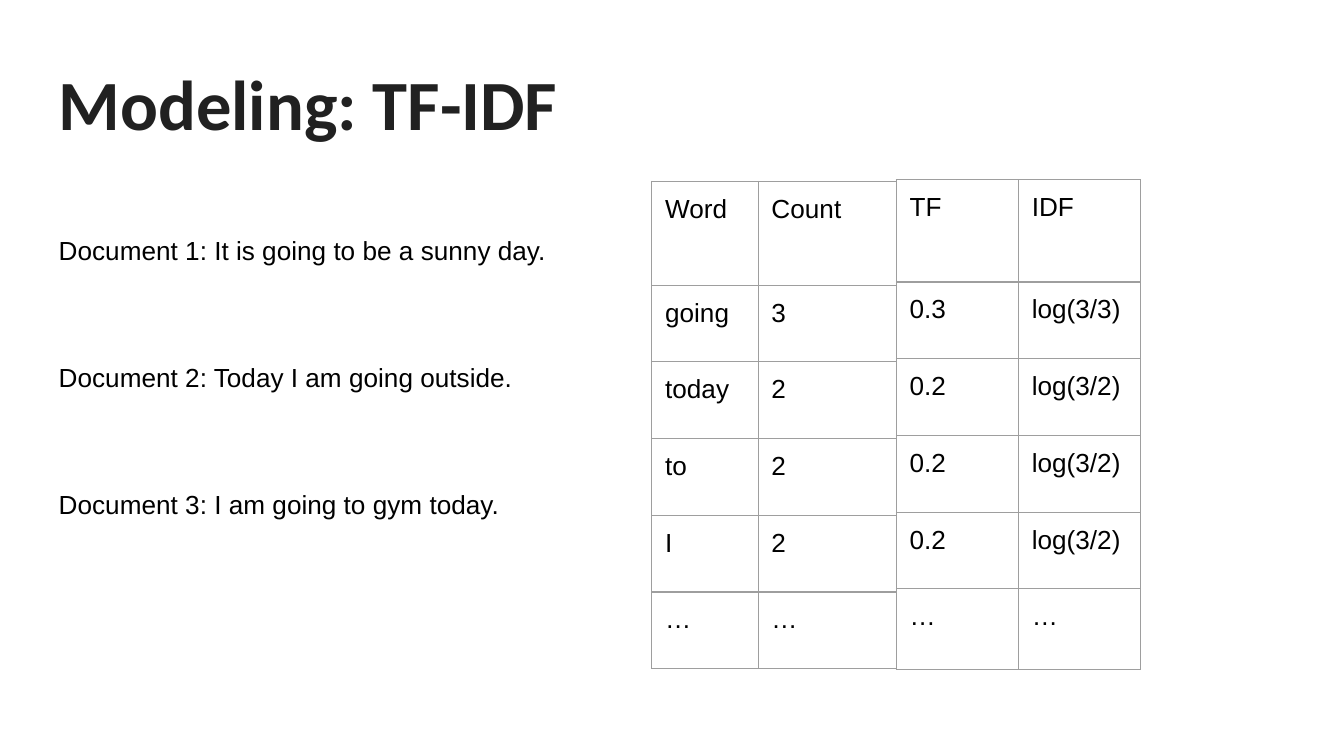
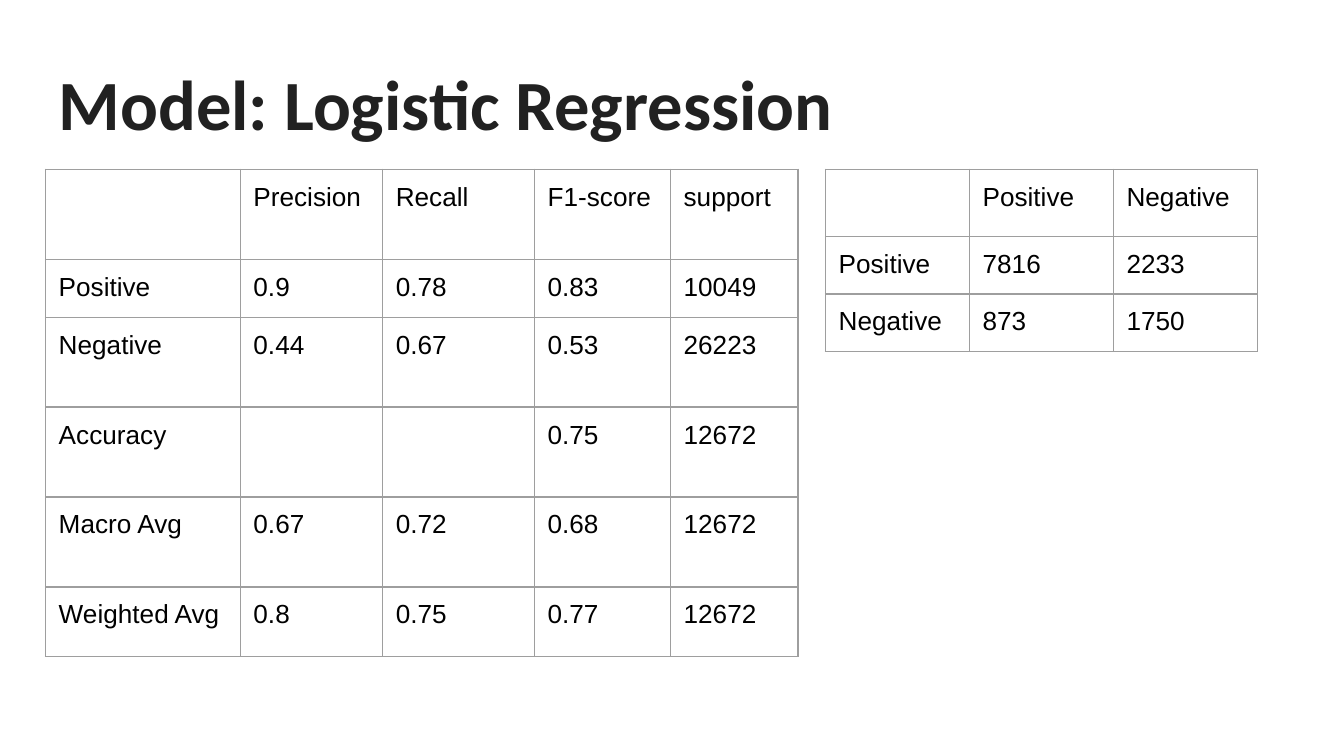
from lxml.etree import SubElement
from pptx import Presentation
from pptx.dml.color import RGBColor
from pptx.enum.text import MSO_ANCHOR
from pptx.oxml.ns import qn
from pptx.util import Cm, Pt

TITLE_COLOR = "212121"
TEXT_COLOR = "000000"
GRID_COLOR = "9E9E9E"
LEFT = 0.86
INSET = Cm(0.25)


def add_text(page, lines, top, width, height, font, size, color, bold=False, gap=0):
    box = page.shapes.add_textbox(Cm(LEFT), Cm(top), Cm(width), Cm(height))
    frame = box.text_frame
    frame.word_wrap = True
    frame.margin_left = frame.margin_right = INSET
    frame.margin_top = frame.margin_bottom = INSET
    frame.text = "\n".join(lines)
    for index, para in enumerate(frame.paragraphs):
        para.font.name = font
        para.font.size = Pt(size)
        para.font.bold = bold
        para.font.color.rgb = RGBColor.from_string(color)
        para.space_before = Pt(gap if index else 0)
    return frame


def add_grid(page, left, top, widths, heights, rows):
    table = page.shapes.add_table(
        len(rows), len(widths), Cm(left), Cm(top), Cm(sum(widths)), Cm(sum(heights))
    ).table
    table.first_row = table.horz_banding = False
    for column, width in zip(table.columns, widths):
        column.width = Cm(width)
    for row, height, values in zip(table.rows, heights, rows):
        row.height = Cm(height)
        for cell, value in zip(row.cells, values):
            cell.margin_left = cell.margin_right = INSET
            cell.margin_top = cell.margin_bottom = INSET
            # Cell borders come before the fill in the cell properties
            properties = cell._tc.get_or_add_tcPr()
            for side in ("a:lnL", "a:lnR", "a:lnT", "a:lnB"):
                line = SubElement(properties, qn(side), w=str(Pt(0.75)))
                fill = SubElement(line, qn("a:solidFill"))
                SubElement(fill, qn("a:srgbClr"), val=GRID_COLOR)
            cell.fill.background()
            if value:
                cell.text = value
                para = cell.text_frame.paragraphs[0]
                para.font.name = "Arial"
                para.font.size = Pt(14)
                para.font.color.rgb = RGBColor.from_string(TEXT_COLOR)


deck = Presentation()
deck.slide_width = Cm(25.4)
deck.slide_height = Cm(14.29)

# Both pages share the title style
pages = []
for title in ("Modeling: TF-IDF", "Model: Logistic Regression"):
    page = deck.slides.add_slide(deck.slide_layouts[6])
    frame = add_text(page, [title], 0.81, 23.67, 2.24, "Calibri", 37.8, TITLE_COLOR, bold=True)
    frame.vertical_anchor = MSO_ANCHOR.MIDDLE
    pages.append(page)
tfidf_page, regression_page = pages

# Example documents
documents = [
    "Document 1: It is going to be a sunny day.",
    "Document 2: Today I am going outside.",
    "Document 3: I am going to gym today.",
]
add_text(tfidf_page, documents, 4.19, 14.86, 5.89, "Arial", 14, TEXT_COLOR, gap=51)

# Word counts, with the term weights beside them
counts = [
    ("Word", "Count"),
    ("going", "3"),
    ("today", "2"),
    ("to", "2"),
    ("I", "2"),
    ("…", "…"),
]
weights = [
    ("TF", "IDF"),
    ("0.3", "log(3/3)"),
    *[("0.2", "log(3/2)")] * 3,
    ("…", "…"),
]
add_grid(tfidf_page, 12.32, 3.43, [2.01, 2.62], [1.96] + [1.45] * 5, counts)
add_grid(tfidf_page, 16.94, 3.4, [2.31] * 2, [1.93] + [1.45] * 4 + [1.52], weights)

# Classification report
report = [
    ("", "Precision", "Recall", "F1-score", "support"),
    ("Positive", "0.9", "0.78", "0.83", "10049"),
    ("Negative", "0.44", "0.67", "0.53", "26223"),
    ("Accuracy", "", "", "0.75", "12672"),
    ("Macro Avg", "0.67", "0.72", "0.68", "12672"),
    ("Weighted Avg", "0.8", "0.75", "0.77", "12672"),
]
report_widths = [3.68, 2.69, 2.87, 2.57, 2.41]
report_heights = [1.7, 1.09, 1.7, 1.7, 1.7, 1.32]
add_grid(regression_page, LEFT, 3.2, report_widths, report_heights, report)

# Confusion matrix
confusion = [
    ("", "Positive", "Negative"),
    ("Positive", "7816", "2233"),
    ("Negative", "873", "1750"),
]
add_grid(regression_page, 15.6, 3.2, [2.72] * 3, [1.07] * 3, confusion)

deck.save("out.pptx")
